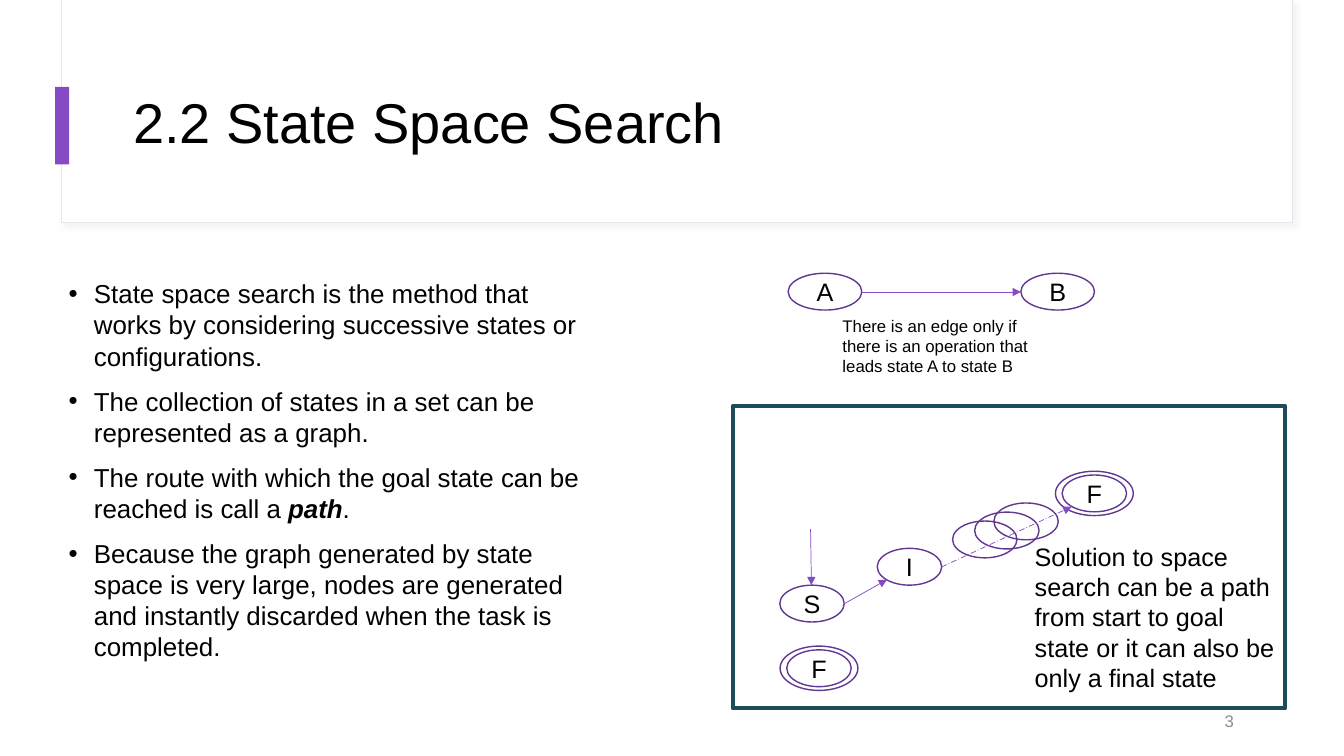
from lxml import etree
from pptx import Presentation
from pptx.dml.color import RGBColor
from pptx.enum.dml import MSO_LINE
from pptx.enum.shapes import MSO_CONNECTOR, MSO_SHAPE
from pptx.enum.text import MSO_ANCHOR, PP_ALIGN
from pptx.oxml.ns import qn
from pptx.util import Pt

FONT = "Arial"
COLORS = {
    "text": "000000",
    "page_number": "8C8C8C",
    "white": "FFFFFF",
    "header_edge": "E3E8EF",
    "header_shadow": "D9D9D9",
    "accent": "844BC5",
    "node": "623792",
    "frame": "1C4C5A",
}
NODE_SIZE = (46, 26.3)
WIDE_NODE_SIZE = (52.6, 26.3)
GOAL_MARGIN = (4.8, 2.7)

BULLETS = [
    ["State space search is the method that works by considering successive states or configurations."],
    ["The collection of states in a set can be represented as a graph."],
    ["The route with which the goal state can be reached is call a ", "path", "."],
    ["Because the graph generated by state space is very large, nodes are generated "
     "and instantly discarded when the task is completed."],
]


def color(name):
    return RGBColor.from_string(COLORS[name])


def format_run(run, size, color_name="text"):
    run.font.name = FONT
    run.font.size = Pt(size)
    run.font.color.rgb = color(color_name)


def add_shape(slide, kind, left, top, width, height, fill=None, line=None, weight=1):
    shape = slide.shapes.add_shape(kind, Pt(left), Pt(top), Pt(width), Pt(height))
    shape.shadow.inherit = False
    if fill:
        shape.fill.solid()
        shape.fill.fore_color.rgb = color(fill)
    else:
        shape.fill.background()
    if line:
        shape.line.color.rgb = color(line)
        shape.line.width = Pt(weight)
    else:
        shape.line.fill.background()
    return shape


def add_soft_shadow(shape):
    effects = shape._element.spPr.find(qn("a:effectLst"))
    shadow = etree.SubElement(effects, qn("a:outerShdw"), blurRad=str(Pt(4)),
                              dist=str(Pt(3)), dir="2700000", algn="tl", rotWithShape="0")
    shade = etree.SubElement(shadow, qn("a:srgbClr"), val=COLORS["header_shadow"])
    etree.SubElement(shade, qn("a:alpha"), val="30000")


def add_text_box(slide, left, top, width, height, anchor=MSO_ANCHOR.TOP):
    text_frame = slide.shapes.add_textbox(Pt(left), Pt(top), Pt(width), Pt(height)).text_frame
    text_frame.word_wrap = True
    text_frame.vertical_anchor = anchor
    return text_frame


def add_text(slide, text, box, size, color_name="text", anchor=MSO_ANCHOR.TOP,
             align=PP_ALIGN.LEFT):
    text_frame = add_text_box(slide, *box, anchor)
    text_frame.text = text
    paragraph = text_frame.paragraphs[0]
    paragraph.alignment = align
    format_run(paragraph.runs[0], size, color_name)
    return paragraph


def add_bullets(slide, bullets, box, size):
    """Each bullet is a list of parts; every second part is bold italic."""
    text_frame = add_text_box(slide, *box)
    for index, parts in enumerate(bullets):
        paragraph = text_frame.add_paragraph() if index else text_frame.paragraphs[0]
        paragraph.space_before = Pt(10)
        properties = paragraph._p.get_or_add_pPr()
        properties.set("marL", str(Pt(18)))
        properties.set("indent", str(-Pt(18)))
        etree.SubElement(properties, qn("a:buFont"), typeface=FONT)
        etree.SubElement(properties, qn("a:buChar"), char="•")
        for position, part in enumerate(parts):
            run = paragraph.add_run()
            run.text = part
            format_run(run, size)
            run.font.bold = run.font.italic = position % 2 == 1


def add_node(slide, left, top, label="", size=NODE_SIZE):
    node = add_shape(slide, MSO_SHAPE.OVAL, left, top, *size, line="node")
    if label:
        text_frame = node.text_frame
        text_frame.margin_left = text_frame.margin_right = 0
        text_frame.margin_top = text_frame.margin_bottom = 0
        text_frame.vertical_anchor = MSO_ANCHOR.MIDDLE
        text_frame.text = label
        paragraph = text_frame.paragraphs[0]
        paragraph.alignment = PP_ALIGN.CENTER
        format_run(paragraph.runs[0], 18)


def add_goal_node(slide, left, top, label):
    """Draw a node with a second ring around it."""
    add_node(slide, left, top, label)
    ring = [side + 2 * margin for side, margin in zip(NODE_SIZE, GOAL_MARGIN)]
    add_node(slide, left - GOAL_MARGIN[0], top - GOAL_MARGIN[1], size=ring)


def add_arrow(slide, start, end, dash=None):
    arrow = slide.shapes.add_connector(MSO_CONNECTOR.STRAIGHT, *map(Pt, start + end))
    arrow.line.color.rgb = color("accent")
    arrow.line.width = Pt(0.5)
    if dash:
        arrow.line.dash_style = dash
    etree.SubElement(arrow.line._get_or_add_ln(), qn("a:tailEnd"), type="triangle")
    etree.SubElement(arrow._element.spPr, qn("a:effectLst"))


def add_header(slide):
    edge = add_shape(slide, MSO_SHAPE.RECTANGLE, 44, 0, 879, 159,
                     fill="white", line="header_edge", weight=0.75)
    add_soft_shadow(edge)
    add_shape(slide, MSO_SHAPE.RECTANGLE, 44.5, 0, 878, 158.5, fill="white")
    add_shape(slide, MSO_SHAPE.RECTANGLE, 39.4, 62, 10, 55.4, fill="accent")
    title = add_text(slide, "2.2 State Space Search", (88, 43, 800, 93), 40,
                     anchor=MSO_ANCHOR.MIDDLE)
    title.line_spacing = 0.9


def add_edge_diagram(slide):
    for left, label in ((563, "A"), (729.2, "B")):
        add_node(slide, left, 195.2, label, WIDE_NODE_SIZE)
    add_arrow(slide, (615.6, 208.6), (729.2, 208.6))
    add_text(slide, "There is an edge only if there is an operation that leads state A to state B",
             (594.7, 221.8, 166, 51), 12)


def add_solution_diagram(slide):
    add_node(slide, 557, 418, "S")
    add_node(slide, 626.6, 391.7, "I")
    add_goal_node(slide, 758.7, 339.3, "F")
    add_goal_node(slide, 562, 464.2, "F")
    for left, top in ((680.4, 372.2), (696.2, 365.8), (709.9, 359.3)):
        add_node(slide, left, top)
    add_arrow(slide, (579, 378), (579.6, 418))
    add_arrow(slide, (603, 431.3), (633.6, 414))
    add_arrow(slide, (672.5, 405), (765.4, 362), MSO_LINE.LONG_DASH_DOT)
    add_shape(slide, MSO_SHAPE.RECTANGLE, 523.4, 290, 394.6, 216, line="frame", weight=3)
    add_text(slide, "Solution to space search can be a path from start to goal state "
             "or it can also be only a final state", (732, 383, 193, 116.6), 18)


def main():
    presentation = Presentation()
    presentation.slide_width = Pt(960)
    presentation.slide_height = Pt(540)
    slide = presentation.slides.add_slide(presentation.slide_layouts[6])
    add_header(slide)
    add_bullets(slide, BULLETS, (42, 195, 389, 291), 18.5)
    add_text(slide, "3", (672.5, 500.5, 216, 28.8), 12, "page_number",
             MSO_ANCHOR.MIDDLE, PP_ALIGN.RIGHT)
    add_edge_diagram(slide)
    add_solution_diagram(slide)
    presentation.save("out.pptx")


if __name__ == "__main__":
    main()
